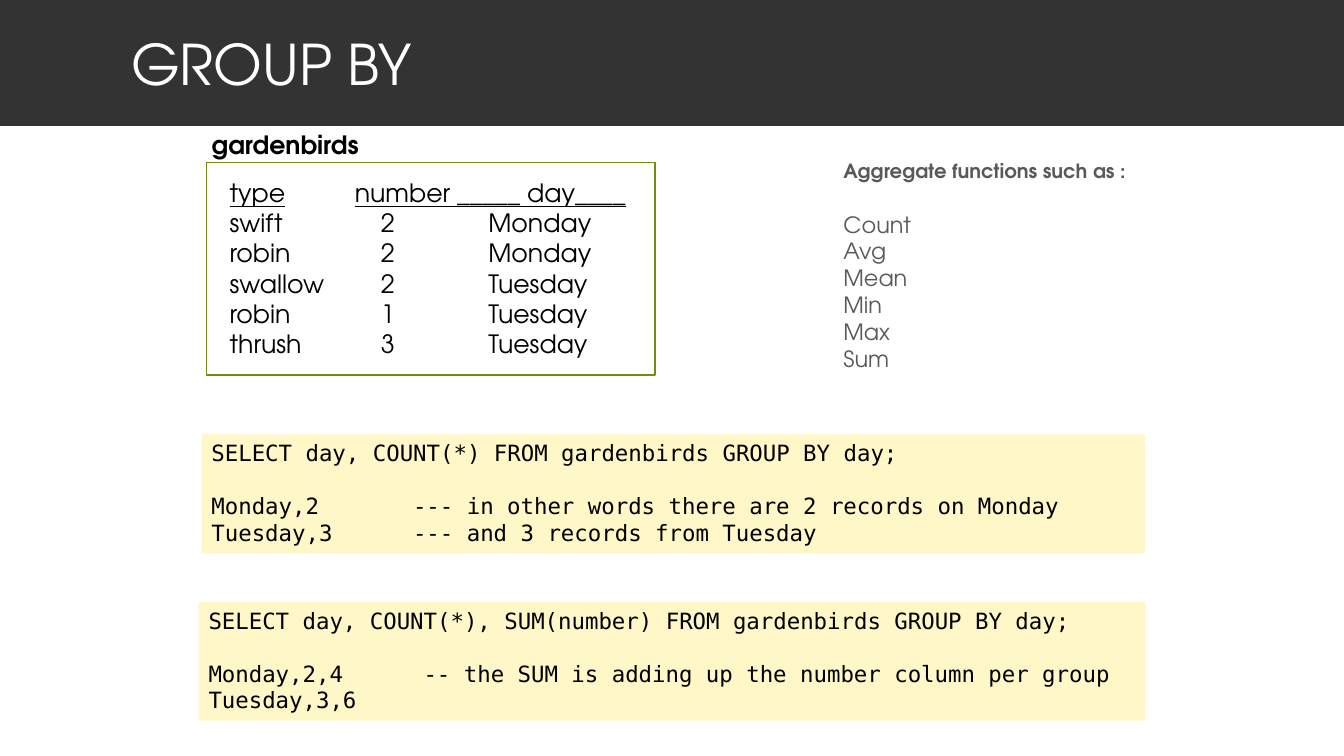
from dataclasses import dataclass

from lxml import etree
from pptx import Presentation
from pptx import util as u
from pptx.dml.color import RGBColor
from pptx.enum import shapes, text
from pptx.oxml import ns


@dataclass(frozen=True)
class Theme:
    sans: str = "TeX Gyre Adventor"
    mono: str = "DejaVu Sans Mono"
    dark: str = "333333"
    white: str = "FFFFFF"
    black: str = "000000"
    gray: str = "595959"
    green: str = "718D0C"
    cream: str = "FFF7C7"
    head: int = 40
    large: int = 18
    base: int = 16
    small: int = 14


@dataclass(frozen=True)
class Line:
    words: str
    gap: float = 0
    tabs: tuple = ()
    bold: bool = False
    under: bool = False
    size: int = 0


class Deck:
    COLS, ROWS = 160, 90

    def __init__(self, theme):
        self.theme = theme
        self.prs = Presentation()
        self.prs.slide_width = u.Inches(40 / 3)
        self.prs.slide_height = u.Inches(7.5)
        self.slide = self.prs.slides.add_slide(self.prs.slide_layouts[6])

    def cols(self, count):
        return round(self.prs.slide_width * count / self.COLS)

    def rows(self, count):
        return round(self.prs.slide_height * count / self.ROWS)

    def area(self, x, y, w, h):
        return self.cols(x), self.rows(y), self.cols(w), self.rows(h)

    def fill_text(self, frame, lines, font, size, color):
        for i, line in enumerate(lines):
            par = frame.add_paragraph() if i else frame.paragraphs[0]
            par.alignment = text.PP_ALIGN.LEFT
            if line.gap:
                par.space_before = u.Pt(line.gap)
            if line.tabs:
                stops = etree.SubElement(par._p.get_or_add_pPr(), ns.qn("a:tabLst"))
                for col in line.tabs:
                    etree.SubElement(stops, ns.qn("a:tab"), pos=str(self.cols(col)), algn="l")
            run = par.add_run()
            run.text = line.words
            run.font.name = font
            run.font.size = u.Pt(line.size or size)
            run.font.bold = line.bold
            run.font.underline = line.under
            run.font.color.rgb = RGBColor.from_string(color)

    def rect(self, area, fill=None, edge=None):
        box = self.slide.shapes.add_shape(shapes.MSO_SHAPE.RECTANGLE, *self.area(*area))
        box.shadow.inherit = False
        if fill:
            box.fill.solid()
            box.fill.fore_color.rgb = RGBColor.from_string(fill)
        else:
            box.fill.background()
        if edge:
            box.line.color.rgb = RGBColor.from_string(edge)
            box.line.width = u.Pt(1)
        else:
            box.line.fill.background()
        return box

    def title(self, area, words):
        t = self.theme
        frame = self.rect(area, t.dark).text_frame
        frame.margin_left = u.Inches(1.3)
        frame.vertical_anchor = text.MSO_ANCHOR.MIDDLE
        self.fill_text(frame, [Line(words)], t.sans, t.head, t.white)

    def note(self, area, lines, size, color, wrap=True):
        frame = self.slide.shapes.add_textbox(*self.area(*area)).text_frame
        frame.word_wrap = wrap
        self.fill_text(frame, lines, self.theme.sans, size, color)

    def code(self, area, query, rows, tab):
        t = self.theme
        frame = self.rect(area, t.cream).text_frame
        frame.word_wrap = True
        frame.vertical_anchor = text.MSO_ANCHOR.TOP
        lines = [Line(query)]
        lines += [Line(row, 0 if i else 18.6, (tab,)) for i, row in enumerate(rows)]
        self.fill_text(frame, lines, t.mono, t.base, t.black)


def main():
    t = Theme()
    deck = Deck(t)
    deck.title((0, 0, 160, 15), "GROUP BY")

    names = ["Count", "Avg", "Mean", "Min", "Max", "Sum"]
    funcs = [Line("Aggregate functions such as :", bold=True, size=t.small)]
    funcs += [Line(name, 0 if i else 20) for i, name in enumerate(names)]
    deck.note((99.24, 18.36, 42.36, 28.8), funcs, t.base, t.gray)

    birds = [
        ("swift", 2, "Monday"),
        ("robin", 2, "Monday"),
        ("swallow", 2, "Tuesday"),
        ("robin", 1, "Tuesday"),
        ("thrush", 3, "Tuesday"),
    ]
    table = [Line("type\tnumber _____ day____", tabs=(14.9,), under=True)]
    table += [Line(f"{kind}\t{count}\t{day}", tabs=(18, 30.8)) for kind, count, day in birds]
    deck.note((26.16, 20.52, 58.08, 23.04), table, t.large, t.black)
    deck.note((24, 14.76, 20.16, 4.8), [Line("gardenbirds", bold=True)], t.large, t.black, False)
    deck.rect((24.6, 19.32, 53.4, 25.32), edge=t.green)

    deck.code(
        (24, 51.72, 112.32, 14.16),
        "SELECT day, COUNT(*) FROM gardenbirds GROUP BY day;",
        ["Monday,2\t--- in other words there are 2 records on Monday",
         "Tuesday,3\t--- and 3 records from Tuesday"],
        24,
    )
    deck.code(
        (23.64, 71.64, 112.68, 14.16),
        "SELECT day, COUNT(*), SUM(number) FROM gardenbirds GROUP BY day;",
        ["Monday,2,4\t-- the SUM is adding up the number column per group",
         "Tuesday,3,6"],
        25.6,
    )
    deck.prs.save("out.pptx")


if __name__ == "__main__":
    main()
